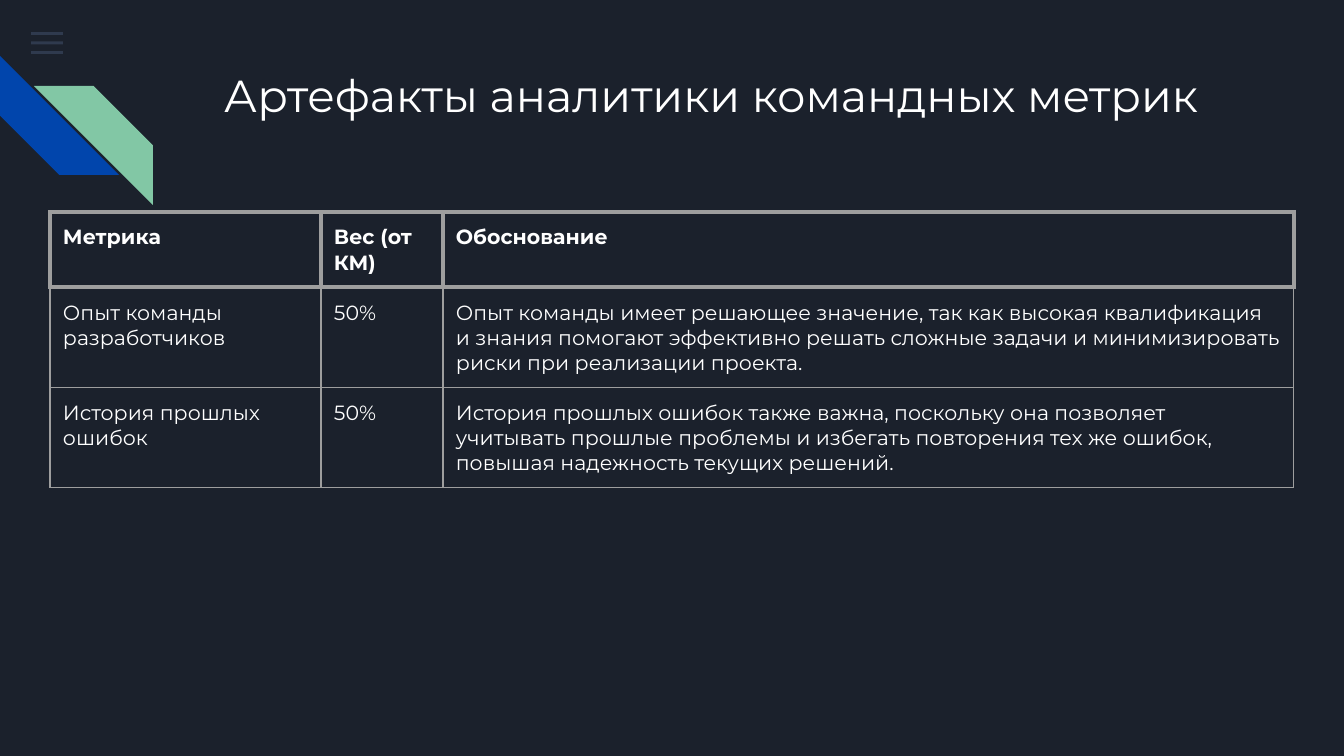
from dataclasses import dataclass

from lxml import etree
from pptx import Presentation
from pptx.dml.color import RGBColor
from pptx.enum.shapes import MSO_SHAPE
from pptx.enum.text import MSO_ANCHOR, PP_ALIGN
from pptx.oxml.ns import qn
from pptx.util import Pt

RECT, STRIPE = MSO_SHAPE.RECTANGLE, MSO_SHAPE.DIAGONAL_STRIPE
TOP, LEFT = MSO_ANCHOR.TOP, PP_ALIGN.LEFT

WIDTH, HEIGHT = 1344, 756
EMU_PER_PX = 9144000 / WIDTH
INSET = 13


@dataclass(frozen=True)
class Theme:
    background: str = "1B212C"
    text: str = "FFFFFF"
    menu: str = "55688B"
    menu_opacity: int = 36
    blue: str = "0145AC"
    green: str = "82C7A5"
    border: str = "9E9E9E"
    thick: float = 2.25
    thin: float = 0.75
    font: str = "Montserrat"
    title_size: int = 24
    table_size: int = 11


THEME = Theme()

HEADER = ["Метрика", "Вес (от КМ)", "Обоснование"]
METRICS = [
    ["Опыт команды разработчиков", "50%",
     "Опыт команды имеет решающее значение, так как высокая квалификация и знания "
     "помогают эффективно решать сложные задачи и минимизировать риски при реализации проекта."],
    ["История прошлых ошибок", "50%",
     "История прошлых ошибок также важна, поскольку она позволяет учитывать прошлые "
     "проблемы и избегать повторения тех же ошибок, повышая надежность текущих решений."],
]


def px(n):
    return round(n * EMU_PER_PX)


def rgb(color):
    return RGBColor.from_string(color)


def add_block(s, kind, box, color):
    """Add a filled preset shape without outline or shadow."""
    sp = s.shapes.add_shape(kind, *map(px, box))
    sp.shadow.inherit = False
    sp.fill.solid()
    sp.fill.fore_color.rgb = rgb(color)
    sp.line.fill.background()
    return sp


def add_run(p, text, size, bold=False):
    p.alignment = LEFT
    r = p.add_run()
    r.text = text
    r.font.name = THEME.font
    r.font.size = Pt(size)
    r.font.bold = bold
    r.font.color.rgb = rgb(THEME.text)


def set_insets(target):
    """Give a text frame or a table cell equal margins on all sides."""
    target.margin_left = target.margin_right = px(INSET)
    target.margin_top = target.margin_bottom = px(INSET)


def add_menu_icon(s, x, y, w, h):
    bars, bar_height = 3, 3
    step = (h - bar_height) / (bars - 1)
    for i in range(bars):
        sp = add_block(s, RECT, (x, y + i * step, w, bar_height), THEME.menu)
        color = sp.fill._xPr.find(".//" + qn("a:srgbClr"))
        etree.SubElement(color, qn("a:alpha"), val=str(THEME.menu_opacity * 1000))


def add_stripes(s, x, y, w, h):
    """Add two interlocking diagonal stripes in opposite corners of the box."""
    side = 119
    blue = add_block(s, STRIPE, (x, y, side, side), THEME.blue)
    blue.rotation = 270
    green = add_block(s, STRIPE, (x + w - side, y + h - side, side, side), THEME.green)
    green._element.spPr.find(qn("a:xfrm")).set("flipH", "1")


def add_title(s, x, y, w, h, text):
    tf = s.shapes.add_textbox(*map(px, (x, y, w, h))).text_frame
    tf.word_wrap = True
    tf.vertical_anchor = TOP
    set_insets(tf)
    add_run(tf.paragraphs[0], text, THEME.title_size)


def set_borders(cell, top, others):
    tcPr = cell._tc.get_or_add_tcPr()
    for i, side in enumerate(("lnL", "lnR", "lnT", "lnB")):
        width = top if side == "lnT" else others
        ln = etree.Element(qn("a:" + side), w=str(Pt(width)))
        fill = etree.SubElement(ln, qn("a:solidFill"))
        etree.SubElement(fill, qn("a:srgbClr"), val=THEME.border)
        tcPr.insert(i, ln)


def add_metrics_table(s, x, y, w, h, rows):
    """Fill the box width; rows grow below the box to fit their text."""
    narrow = [271, 122]
    widths = narrow + [w - sum(narrow)]
    table = s.shapes.add_table(len(rows), len(widths), *map(px, (x, y, w, h))).table
    table.first_row = table.horz_banding = False
    for column, width in zip(table.columns, widths):
        column.width = px(width)
    for i, row in enumerate(rows):
        top = THEME.thick if i <= 1 else THEME.thin
        others = THEME.thick if i == 0 else THEME.thin
        for j, text in enumerate(row):
            cell = table.cell(i, j)
            cell.fill.background()
            cell.vertical_anchor = TOP
            set_insets(cell)
            set_borders(cell, top, others)
            add_run(cell.text_frame.paragraphs[0], text, THEME.table_size, bold=i == 0)


def main():
    prs = Presentation()
    prs.slide_width, prs.slide_height = px(WIDTH), px(HEIGHT)
    s = prs.slides.add_slide(prs.slide_layouts[6])
    s.background.fill.solid()
    s.background.fill.fore_color.rgb = rgb(THEME.background)
    add_menu_icon(s, 31, 32, 32, 22)
    add_stripes(s, 0, 56, 153, 149)
    add_title(s, 211, 55, 1090, 84, "Артефакты аналитики командных метрик")
    add_metrics_table(s, 50, 212, 1244, 168, [HEADER] + METRICS)
    prs.save("out.pptx")


if __name__ == "__main__":
    main()
